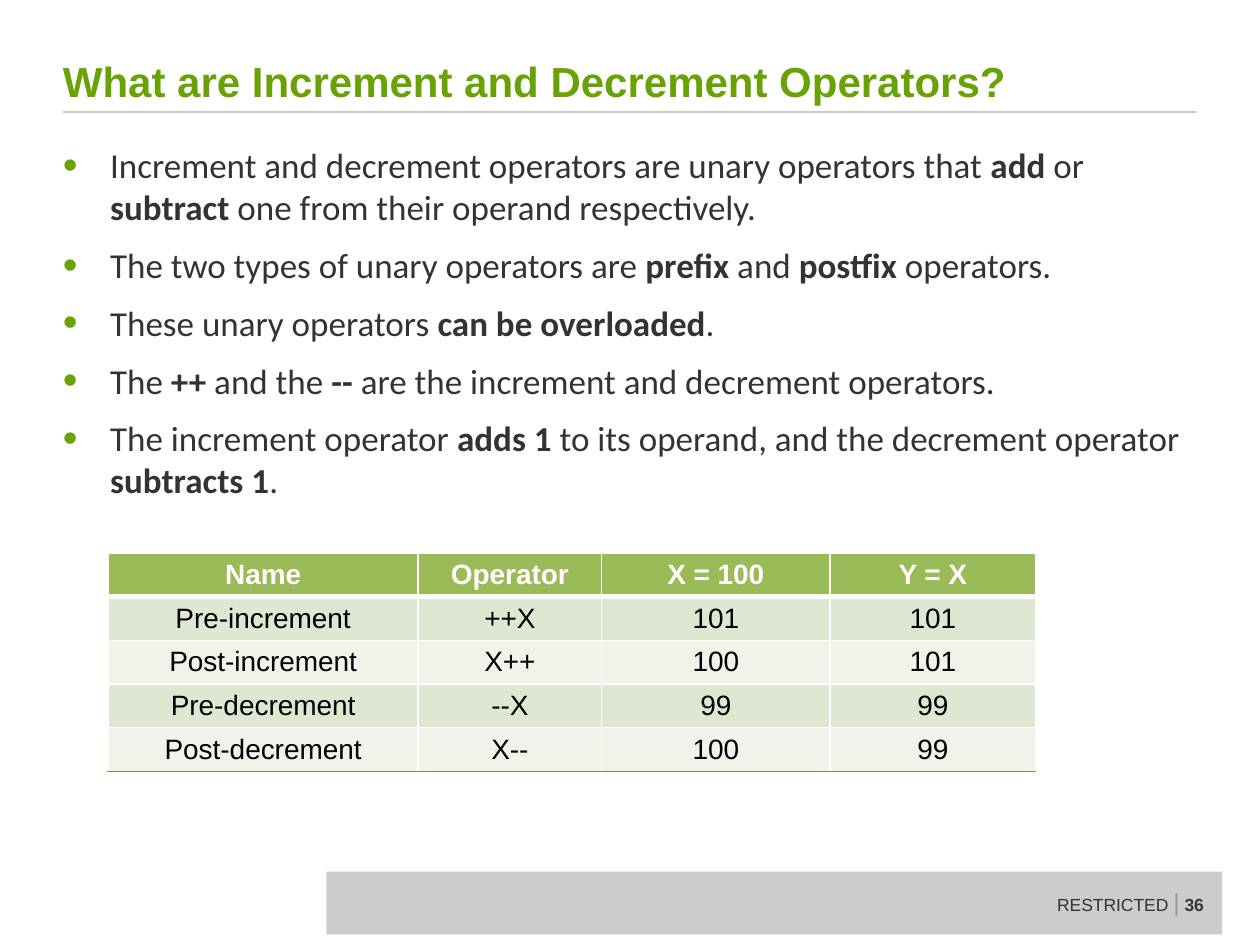
from dataclasses import dataclass

from lxml.etree import SubElement
from pptx import Presentation
from pptx.dml.color import RGBColor
from pptx.enum.shapes import MSO_CONNECTOR, MSO_SHAPE
from pptx.enum.text import MSO_ANCHOR, PP_ALIGN
from pptx.oxml import parse_xml
from pptx.oxml.ns import nsdecls, qn
from pptx.util import Cm, Pt


@dataclass(frozen=True)
class Theme:
    head_font: str = "Arial"
    body_font: str = "Calibri"
    green: str = "69A205"
    text: str = "333333"
    grey: str = "CCCCCC"
    divider: str = "999999"
    number: str = "3A372F"
    white: str = "FFFFFF"
    black: str = "000000"
    header: str = "9BBB59"
    bands: tuple = ("DEE7D1", "EFF3EA")
    table_end: str = "77933C"
    title_size: int = 24
    body_size: int = 20
    table_size: int = 16
    divider_size: int = 14
    footer_size: int = 10


T = Theme()

# Double asterisks enclose bold words
BULLETS = [
    "Increment and decrement operators are unary operators that **add** or "
    "**subtract** one from their operand respectively.",
    "The two types of unary operators are **prefix **and **postfix** operators.",
    "These unary operators **can be overloaded**.",
    "The **++** and the **--** are the increment and decrement operators.",
    "The increment operator **adds 1** to its operand, and the decrement "
    "operator **subtracts 1**.",
]
ROWS = [
    ("Name", "Operator", "X = 100", "Y = X"),
    ("Pre-increment", "++X", "101", "101"),
    ("Post-increment", "X++", "100", "101"),
    ("Pre-decrement", "--X", "99", "99"),
    ("Post-decrement", "X--", "100", "99"),
]
COL_WIDTHS = (6.25, 3.7, 4.6, 4.15)
ROW_HEIGHT = 0.88


def style(r, font, size, color, bold=False):
    r.font.name = font
    r.font.size = Pt(size)
    r.font.color.rgb = RGBColor.from_string(color)
    r.font.bold = bold


def add_run(p, text, *look):
    r = p.add_run()
    r.text = text
    style(r, *look)


def add_text_frame(s, x, y, w, h, margins=(0, 0, 0, 0), wrap=True):
    tf = s.shapes.add_textbox(Cm(x), Cm(y), Cm(w), Cm(h)).text_frame
    tf.word_wrap = wrap
    tf.margin_left, tf.margin_top, tf.margin_right, tf.margin_bottom = map(Cm, margins)
    return tf


def add_title(s, text):
    tf = add_text_frame(s, 1.27, 0.05, 22.86, 2.21, (0, 0, 0, 0.13))
    tf.vertical_anchor = MSO_ANCHOR.BOTTOM
    tf.text = text
    style(tf.paragraphs[0].runs[0], T.head_font, T.title_size, T.green, True)


def add_rule(s, x1, x2, y):
    line = s.shapes.add_connector(MSO_CONNECTOR.STRAIGHT, Cm(x1), Cm(y), Cm(x2), Cm(y))
    line.line.color.rgb = RGBColor.from_string(T.grey)
    line.line.width = Pt(1.5)
    SubElement(line._element.spPr, qn("a:effectLst"))


def set_bullet(p):
    pPr = p._p.get_or_add_pPr()
    pPr.set("marL", str(Cm(0.95)))
    pPr.set("indent", str(Cm(-0.95)))
    color = SubElement(pPr, qn("a:buClr"))
    SubElement(color, qn("a:srgbClr"), val=T.green)
    SubElement(pPr, qn("a:buSzPct"), val="120000")
    SubElement(pPr, qn("a:buFont"), typeface=T.head_font)
    SubElement(pPr, qn("a:buChar"), char="•")


def add_bullets(s, items):
    tf = add_text_frame(s, 1.27, 2.9, 22.86, 14.12)
    for i, item in enumerate(items):
        p = tf.add_paragraph() if i else tf.paragraphs[0]
        set_bullet(p)
        if i:
            p.space_before = Pt(5)
        p.space_after = Pt(4)
        for j, part in enumerate(item.split("**")):
            add_run(p, part, T.body_font, T.body_size, T.text, j % 2 == 1)


def set_borders(cell, top, bottom, bottom_color):
    tcPr = cell._tc.get_or_add_tcPr()
    sides = (("L", 1, T.white), ("R", 1, T.white),
             ("T", top, T.white), ("B", bottom, bottom_color))
    for i, (side, width, color) in enumerate(sides):
        tcPr.insert(i, parse_xml(
            f'<a:ln{side} {nsdecls("a")} w="{Pt(width)}"><a:solidFill>'
            f'<a:srgbClr val="{color}"/></a:solidFill></a:ln{side}>'))


def fill_cell(cell, text, row, last):
    head = row == 0
    cell.fill.solid()
    cell.fill.fore_color.rgb = RGBColor.from_string(
        T.header if head else T.bands[(row - 1) % 2])
    cell.margin_top = cell.margin_bottom = Cm(0.1)
    cell.vertical_anchor = MSO_ANCHOR.MIDDLE
    cell.text_frame.text = text
    p = cell.text_frame.paragraphs[0]
    p.alignment = PP_ALIGN.CENTER
    if head:
        p.line_spacing = Pt(17.5)
    style(p.runs[0], T.head_font, T.table_size, T.white if head else T.black, head)
    set_borders(cell, 3 if row == 1 else 1,
                3 if head else 0.25 if row == last else 1,
                T.table_end if row == last else T.white)


def add_operator_table(s, rows):
    table = s.shapes.add_table(
        len(rows), len(COL_WIDTHS), Cm(2.18), Cm(11.15),
        Cm(sum(COL_WIDTHS)), Cm(ROW_HEIGHT * len(rows))).table
    for column, width in zip(table.columns, COL_WIDTHS):
        column.width = Cm(width)
    for i, row in enumerate(rows):
        table.rows[i].height = Cm(ROW_HEIGHT)
        for j, text in enumerate(row):
            fill_cell(table.cell(i, j), text, i, len(rows) - 1)


def add_footer(s):
    sp = s.shapes.add_shape(MSO_SHAPE.RECTANGLE, Cm(6.58), Cm(17.57), Cm(18.06), Cm(1.27))
    sp.shadow.inherit = False
    sp.fill.solid()
    sp.fill.fore_color.rgb = RGBColor.from_string(T.grey)
    sp.line.fill.background()
    tf = add_text_frame(s, 21.06, 17.75, 3.55, 0.86, (0.25, 0.13, 0.25, 0.13), wrap=False)
    p = tf.paragraphs[0]
    add_run(p, "RESTRICTED ", T.head_font, T.footer_size, T.text)
    add_run(p, "|", T.head_font, T.divider_size, T.divider)
    add_run(p, " 36", T.head_font, T.footer_size, T.number, True)


def main():
    prs = Presentation()
    prs.slide_width, prs.slide_height = Cm(25.4), Cm(19.05)
    s = prs.slides.add_slide(prs.slide_layouts[6])

    # Frame of the slide
    add_rule(s, 1.27, 24.13, 2.26)
    add_footer(s)

    # Content
    add_title(s, "What are Increment and Decrement Operators?")
    add_bullets(s, BULLETS)
    add_operator_table(s, ROWS)
    prs.save("out.pptx")


if __name__ == "__main__":
    main()
